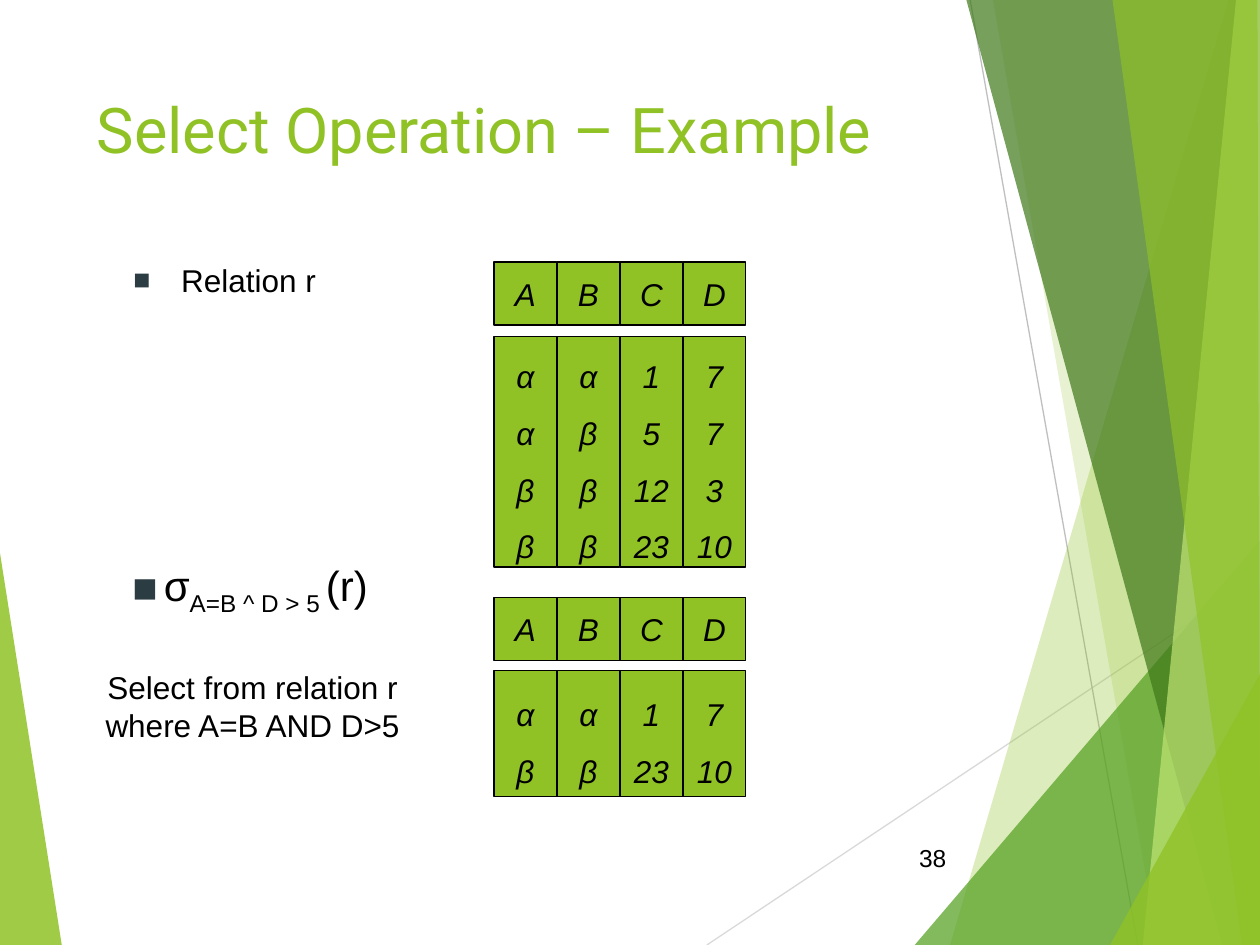
from lxml.etree import SubElement as Sub
from pptx import Presentation
from pptx.dml.color import RGBColor
from pptx.enum.shapes import MSO_CONNECTOR as Conn, MSO_SHAPE as Shape
from pptx.enum.text import MSO_ANCHOR as Anchor, MSO_AUTO_SIZE as Auto, PP_ALIGN as Align
from pptx.oxml.ns import qn
from pptx.util import Inches, Pt

GREEN, BLACK, SLATE = "90C226", "000000", "2C3C43"


def color(code):
    return RGBColor.from_string(code)


def assign(target, values):
    for name, value in values.items():
        setattr(target, name, value)


class Deck:
    font = "Arial"

    def __init__(self, wide, high):
        self.prs = Presentation()
        assign(self.prs, {"slide_width": Inches(wide), "slide_height": Inches(high)})
        self.slide = self.prs.slides.add_slide(self.prs.slide_layouts[6])
        self.shapes = self.slide.shapes

    def facet(self, points, fill, alpha):
        pts = [(Inches(x), Inches(y)) for x, y in points]
        pen = self.shapes.build_freeform(*pts[0], scale=1.0)
        pen.add_line_segments(pts[1:], close=True)
        shape = pen.convert_to_shape()
        shape.shadow.inherit = False
        shape.fill.solid()
        shape.fill.fore_color.rgb = color(fill)
        shape.line.fill.background()
        tone = shape._element.spPr.find(qn("a:solidFill"))[0]
        Sub(tone, qn("a:alpha"), val=str(alpha * 1000))

    def line(self, start, end, tint):
        ends = [Inches(v) for v in (*start, *end)]
        line = self.shapes.add_connector(Conn.STRAIGHT, *ends)
        line.line.color.rgb = color(tint)
        line.line.width = Pt(0.75)
        Sub(line._element.spPr, qn("a:effectLst"))

    def fill_in(self, frame, lines, size=18, tint=BLACK, font=None, italic=None, **para):
        # Each line is a list of (text, size, baseline) runs or a plain string
        for i, line in enumerate(lines):
            p = frame.paragraphs[0] if i == 0 else frame.add_paragraph()
            assign(p, para)
            runs = [(line, size, 0)] if isinstance(line, str) else line
            for text, pts, base in runs:
                run = p.add_run()
                run.text = text
                assign(run.font, {"size": Pt(pts), "name": font or self.font, "italic": italic})
                run.font.color.rgb = color(tint)
                if base:
                    run._r.get_or_add_rPr().set("baseline", str(base * 1000))

    def text(self, box, lines, frame=None, **style):
        shape = self.shapes.add_textbox(*map(Inches, box))
        assign(shape.text_frame, {"word_wrap": True, **(frame or {})})
        self.fill_in(shape.text_frame, lines, **style)
        return shape.text_frame.paragraphs[0]

    def bullet(self, para, indent, scale):
        props = para._p.get_or_add_pPr()
        props.set("marL", str(Inches(indent)))
        props.set("indent", str(-Inches(indent)))
        Sub(Sub(props, qn("a:buClr")), qn("a:srgbClr"), val=SLATE)
        Sub(props, qn("a:buSzPct"), val=str(scale * 1000))
        Sub(props, qn("a:buFont"), typeface=self.font)
        Sub(props, qn("a:buChar"), char="■")

    def cell(self, box, lines, **style):
        shape = self.shapes.add_shape(Shape.RECTANGLE, *map(Inches, box))
        shape.shadow.inherit = False
        shape.fill.solid()
        shape.fill.fore_color.rgb = color(GREEN)
        shape.line.color.rgb = color(BLACK)
        shape.line.width = Pt(0.75)
        assign(shape.text_frame, {"word_wrap": False, "vertical_anchor": Anchor.MIDDLE})
        self.fill_in(shape.text_frame, lines, italic=True, alignment=Align.CENTER, **style)

    def grid(self, left, top, body, high, rows, side=0.5):
        # One header cell and one tall body cell per column
        for i, (head, *items) in enumerate(zip("ABCD", *rows)):
            x = left + i * side
            self.cell((x, top, side, side), [head])
            self.cell((x, body, side, high), items, line_spacing=1.5)


deck = Deck(10, 7.5)

# Facets and thin lines along the edges
deck.facet([(0, 4.39), (0.49, 7.5), (0, 7.5)], GREEN, 85)
deck.line((5.61, 7.5), (10, 4.57), "D9D9D9")
deck.line((7.7, 0), (9.03, 7.5), "BFBFBF")
END = [(10, 7.5), (10, 0)]
for points, fill, alpha in [
    ([(9.75, 0), (7.54, 7.5), *END], GREEN, 30),
    ([(7.88, 0), (9.19, 7.5), *END], GREEN, 20),
    ([(7.26, 7.5), (10, 4.29), (10, 7.5)], "54A021", 72),
    ([(7.67, 0), (9.7, 7.5), *END], "3F7819", 70),
    ([(9.81, 0), (9.07, 7.5), *END], "C0E474", 70),
    ([(8.83, 0), (9.86, 7.5), (10, 7.5), (9.98, 0)], GREEN, 65),
    ([(8.81, 7.5), (10, 5.35), (10, 7.5)], GREEN, 80),
]:
    deck.facet(points, fill, alpha)

# Title and page number
deck.text((0.67, 0.67, 6.94, 1.44), ["Select Operation – Example"],
          size=36, tint=GREEN, font="Roboto")
deck.text((7.05, 6.61, 0.56, 0.4), ["38"], {"vertical_anchor": Anchor.MIDDLE},
          size=14, alignment=Align.RIGHT)

# Relation r
label = deck.text((0.96, 2.02, 1.79, 0.4), ["Relation r"])
deck.bullet(label, 0.38, 90)
deck.grid(3.92, 2.08, 2.67, 1.83, ["αα17", "αβ57", ("β", "β", "12", "3"), ("β", "β", "23", "10")])

# Selection and its result
query = [("σ", 24, 0), ("A=B ^ D > 5", 24, -25), (" ", 20, -25), ("(r)", 24, 0)]
label = deck.text((0.87, 4.42, 2.23, 0.5), [query],
                  {"word_wrap": False, "vertical_anchor": Anchor.MIDDLE,
                   "auto_size": Auto.SHAPE_TO_FIT_TEXT}, alignment=Align.CENTER)
deck.bullet(label, 0.25, 100)
deck.grid(3.92, 4.74, 5.32, 1, ["αα17", ("β", "β", "23", "10")])
deck.text((0.42, 5.25, 3.17, 1.15), ["Select from relation r where A=B AND D>5"],
          alignment=Align.CENTER)

deck.prs.save("out.pptx")
